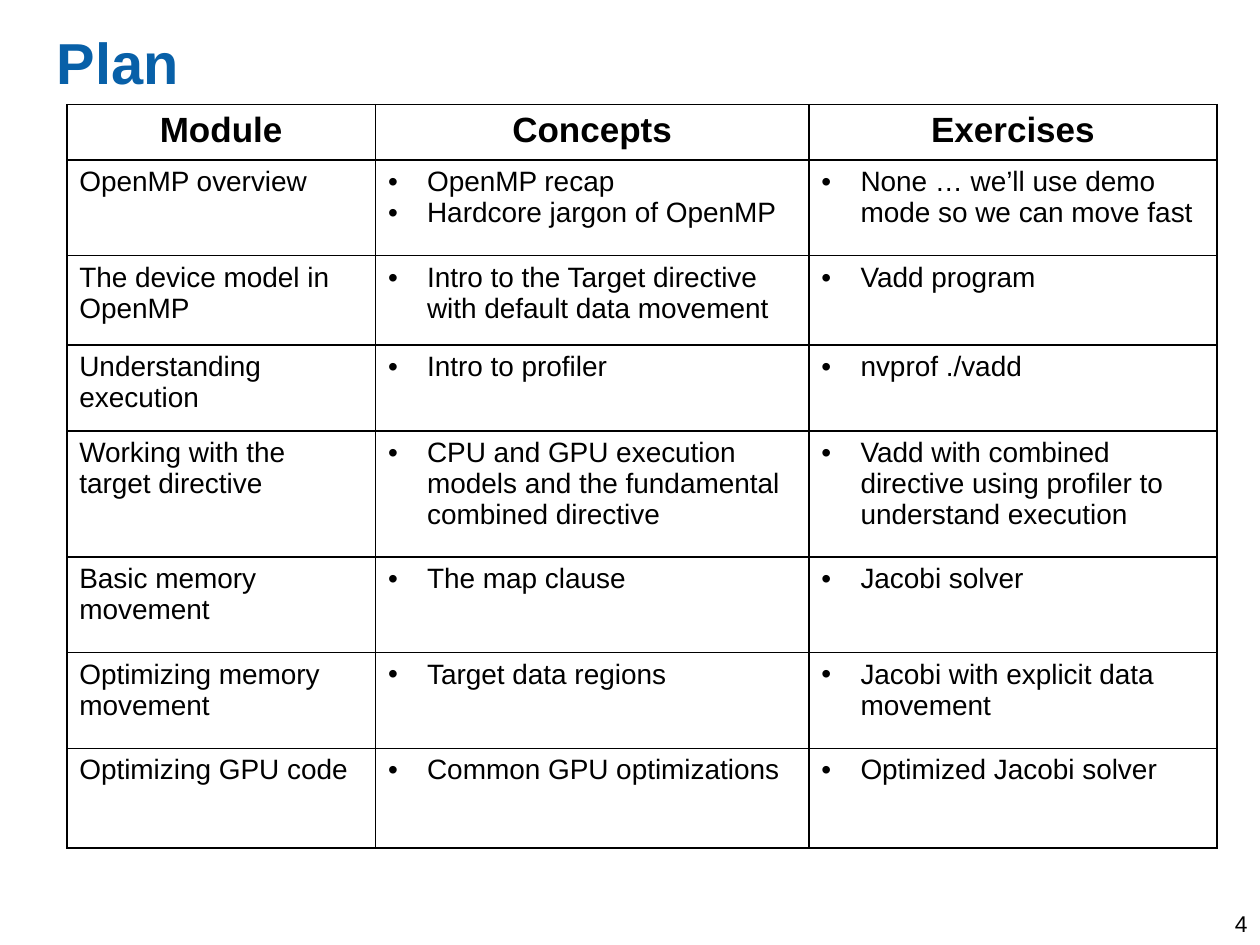
"""Build the course plan slide."""
from lxml.etree import SubElement
from pptx import Presentation
from pptx.dml.color import RGBColor
from pptx.enum.text import PP_ALIGN
from pptx.oxml import parse_xml
from pptx.oxml.ns import nsdecls, qn
from pptx.util import Inches, Pt

BLACK = RGBColor(0, 0, 0)
BLUE = RGBColor(0x08, 0x60, 0xA8)

HEADS = ["Module", "Concepts", "Exercises"]
PLAN = [
    ("OpenMP overview",
     ["OpenMP recap", "Hardcore jargon of OpenMP"],
     ["None … we’ll use demo mode so we can move fast"]),
    ("The device model in OpenMP",
     ["Intro to the Target directive with default data movement"],
     ["Vadd program"]),
    ("Understanding execution", ["Intro to profiler"], ["nvprof ./vadd"]),
    ("Working with the target directive",
     ["CPU and GPU execution models and the fundamental combined directive"],
     ["Vadd with combined directive using profiler to understand execution"]),
    ("Basic memory movement", ["The map clause"], ["Jacobi solver"]),
    ("Optimizing memory movement",
     ["Target data regions"],
     ["Jacobi with explicit data movement"]),
    ("Optimizing GPU code",
     ["Common GPU optimizations"],
     ["Optimized Jacobi solver"]),
]
WIDTHS = [2.45, 3.44, 3.24]
HEIGHTS = [0.44, 0.76, 0.71, 0.68, 1, 0.76, 0.76, 0.79]
HANG = Inches(0.31)

TITLE = {"name": "Arial", "size": Pt(33), "bold": True}
HEAD = {"name": "Arial", "size": Pt(20), "bold": True}
BODY = {"name": "Arial", "size": Pt(16), "bold": False}
PAGE = {"name": "Arial", "size": Pt(13), "bold": False}


def write(frame, lines, style, color=BLACK, align=PP_ALIGN.LEFT, dots=False):
    for i, line in enumerate(lines):
        para = frame.paragraphs[0] if i == 0 else frame.add_paragraph()
        para.alignment = align
        if dots:
            props = para._p.get_or_add_pPr()
            props.set("marL", str(HANG))
            props.set("indent", str(-HANG))
            SubElement(props, qn("a:buFont")).set("typeface", "Arial")
            SubElement(props, qn("a:buChar")).set("char", "•")
        run = para.add_run()
        run.text = line
        for key, value in style.items():
            setattr(run.font, key, value)
        run.font.color.rgb = color


def add_text(slide, place, text, style, inset=None, **look):
    frame = slide.shapes.add_textbox(*map(Inches, place)).text_frame
    frame.word_wrap = True
    if inset is not None:
        for side in ("left", "top", "right", "bottom"):
            setattr(frame, f"margin_{side}", inset)
    write(frame, [text], style, **look)


def frame_cell(cell):
    cell.fill.background()
    props = cell._tc.get_or_add_tcPr()
    for i, side in enumerate("LRTB"):
        props.insert(i, parse_xml(
            f'<a:ln{side} {nsdecls("a")} w="{Pt(1)}"><a:solidFill>'
            f'<a:srgbClr val="{BLACK}"/></a:solidFill></a:ln{side}>'))


def add_plan(slide):
    place = (0.53, 0.83, sum(WIDTHS), sum(HEIGHTS))
    grid = slide.shapes.add_table(
        len(HEIGHTS), len(WIDTHS), *map(Inches, place)).table
    for parts, key, sizes in ((grid.columns, "width", WIDTHS),
                              (grid.rows, "height", HEIGHTS)):
        for part, size in zip(parts, sizes):
            setattr(part, key, Inches(size))
    for r, row in enumerate([HEADS] + PLAN):
        for c, item in enumerate(row):
            cell = grid.cell(r, c)
            frame_cell(cell)
            if r == 0:
                write(cell.text_frame, [item], HEAD, align=PP_ALIGN.CENTER)
            elif c == 0:
                write(cell.text_frame, [item], BODY)
            else:
                write(cell.text_frame, item, BODY, dots=True)


def main():
    deck = Presentation()
    deck.slide_width, deck.slide_height = Inches(10), Inches(7.5)
    slide = deck.slides.add_slide(deck.slide_layouts[6])
    add_text(slide, (9.17, 7.17, 0.83, 0.33), "4", PAGE, align=PP_ALIGN.RIGHT)
    add_text(slide, (0.45, 0.21, 9.29, 1.25), "Plan", TITLE, inset=0, color=BLUE)
    add_plan(slide)
    deck.save("out.pptx")


if __name__ == "__main__":
    main()
